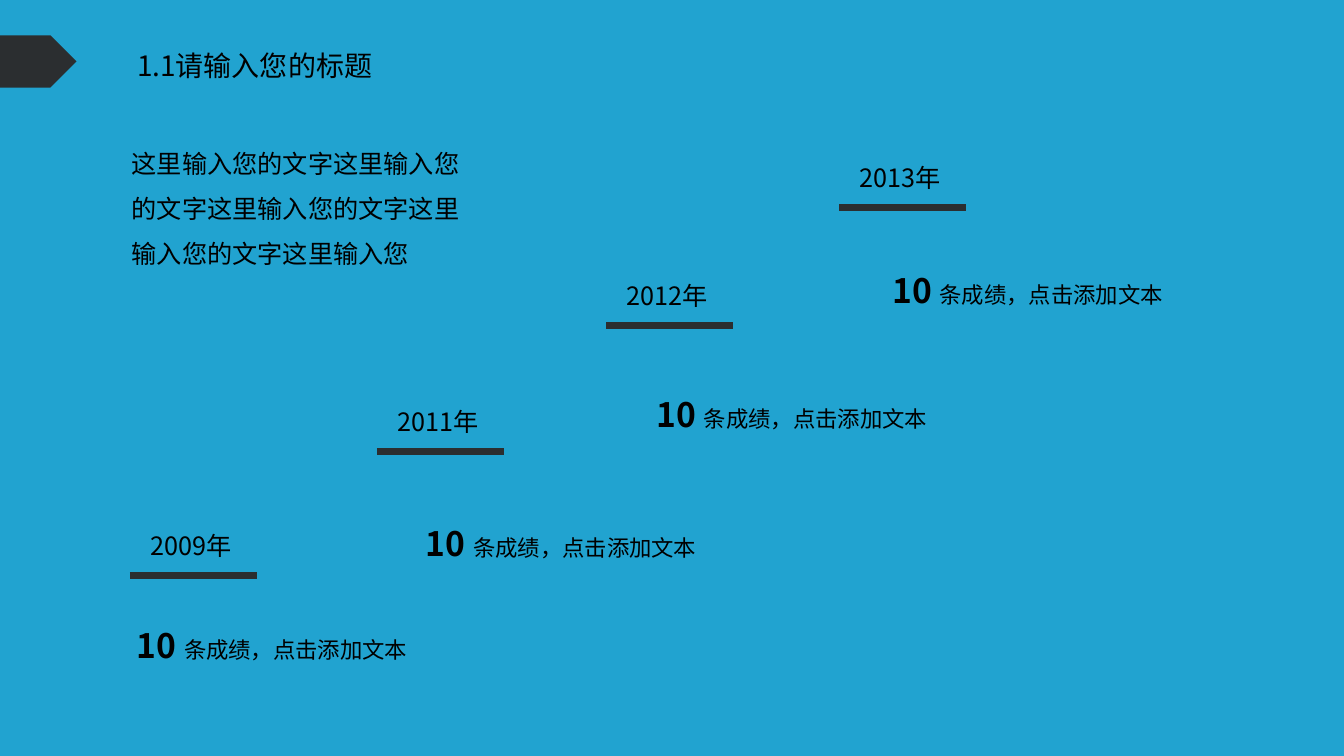
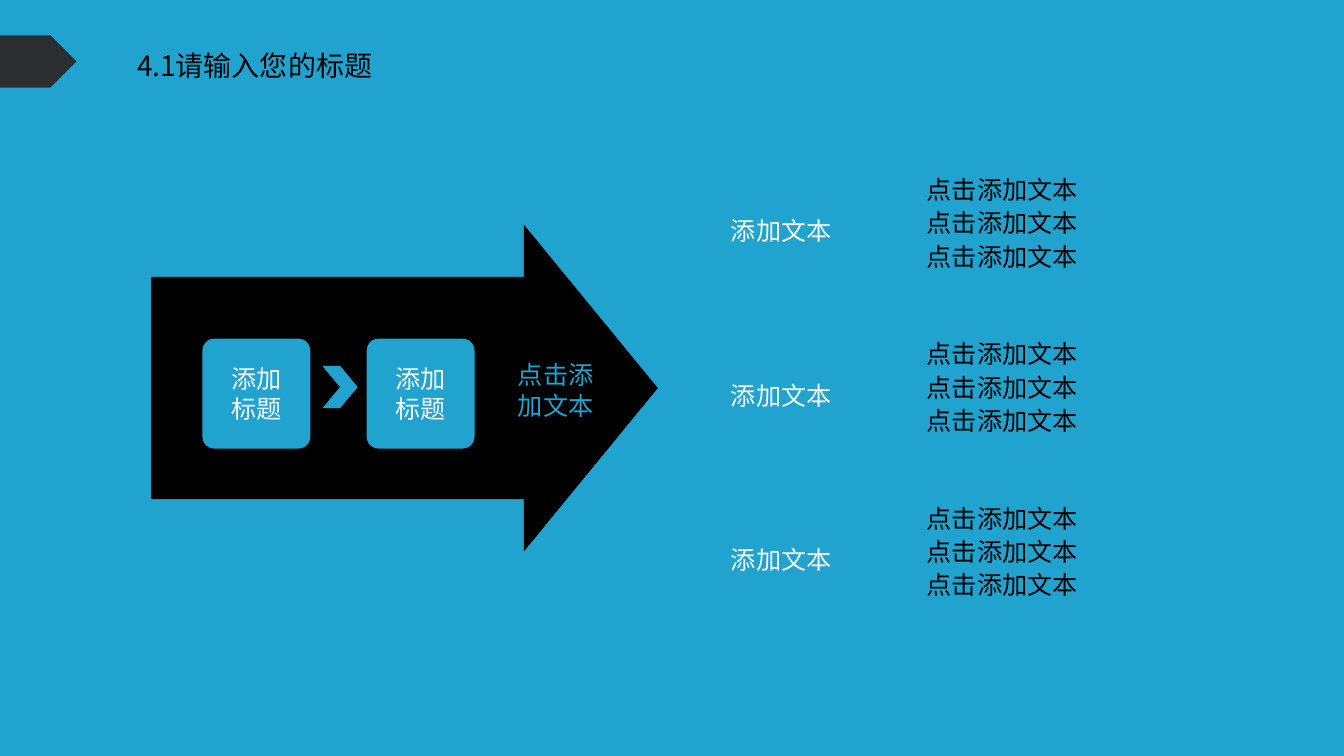
from dataclasses import dataclass

from lxml.etree import SubElement
from pptx import Presentation
from pptx.dml.color import RGBColor
from pptx.enum.shapes import MSO_CONNECTOR, MSO_SHAPE
from pptx.enum.text import MSO_ANCHOR, MSO_AUTO_SIZE, PP_ALIGN
from pptx.oxml.ns import qn
from pptx.util import Inches, Pt


@dataclass(frozen=True)
class Theme:
    font: str = "Noto Sans CJK SC"
    blue: RGBColor = RGBColor(0x21, 0xA3, 0xD0)
    dark: RGBColor = RGBColor(0x2B, 0x2E, 0x30)
    black: RGBColor = RGBColor(0, 0, 0)
    light: RGBColor = RGBColor(0xF8, 0xF8, 0xF8)
    title: int = 20
    body: int = 18
    figure: int = 24
    note: int = 16
    rule: int = 5


THEME = Theme()
TITLE_ONLY = 5

# Year, left and height of its rule, left and top of its result
MILESTONES = [
    ("2009年", 1.29, 5.71, 1.26, 6.15),
    ("2011年", 3.74, 4.48, 4.13, 5.14),
    ("2012年", 6.02, 3.23, 6.42, 3.86),
    ("2013年", 8.33, 2.06, 8.76, 2.63),
]


def box(left, top, width, height):
    return [Inches(v) for v in (left, top, width, height)]


def write(frame, paragraphs, size=THEME.body, color=THEME.black,
          align=PP_ALIGN.LEFT, anchor=MSO_ANCHOR.TOP, line_spacing=None,
          gap=0, inset=0.1):
    """Fill a frame; a paragraph is a string or a list of (text, size, bold)."""
    frame.word_wrap = True
    frame.auto_size = MSO_AUTO_SIZE.NONE
    frame.vertical_anchor = anchor
    frame.margin_left = Inches(inset)
    for index, content in enumerate(paragraphs):
        paragraph = frame.add_paragraph() if index else frame.paragraphs[0]
        paragraph.alignment = align
        if line_spacing:
            paragraph.line_spacing = line_spacing
        if index and gap:
            paragraph.space_before = Pt(gap)
        pieces = [(content, size, False)] if isinstance(content, str) else content
        for text, points, bold in pieces:
            run = paragraph.add_run()
            run.text = text
            run.font.size = Pt(points)
            run.font.bold = bold
            run.font.color.rgb = color
            run.font.name = THEME.font
            SubElement(run._r.get_or_add_rPr(), qn("a:ea"), typeface=THEME.font)


def add_text(slide, area, paragraphs, **style):
    write(slide.shapes.add_textbox(*box(*area)).text_frame, paragraphs, **style)


def add_block(slide, kind, area, fill, adjustments=()):
    block = slide.shapes.add_shape(kind, *box(*area))
    block.shadow.inherit = False
    block.fill.solid()
    block.fill.fore_color.rgb = fill
    block.line.fill.background()
    for index, value in enumerate(adjustments):
        block.adjustments[index] = value
    return block


def add_rule(slide, left, top, width):
    rule = slide.shapes.add_connector(
        MSO_CONNECTOR.STRAIGHT, Inches(left), Inches(top),
        Inches(left + width), Inches(top))
    rule.line.color.rgb = THEME.dark
    rule.line.width = Pt(THEME.rule)
    SubElement(rule._element.spPr, qn("a:effectLst"))


def titled_slide(prs, heading):
    """Slide with the shared title and the tab at the left edge."""
    slide = prs.slides.add_slide(prs.slide_layouts[TITLE_ONLY])
    title = slide.shapes.title
    title.left, title.top, title.width, title.height = box(1.26, 0.43, 2.56, 0.44)
    write(title.text_frame, [heading], size=THEME.title)
    add_block(slide, MSO_SHAPE.PENTAGON, (0, 0.35, 0.76, 0.52), THEME.dark, [0.5])
    return slide


def milestone(slide, year, left, top, result_left, result_top):
    add_text(slide, (left + 0.03, top - 0.5, 1.15, 0.44), [year],
             align=PP_ALIGN.CENTER)
    add_rule(slide, left, top, 1.26)
    result = [("10 ", THEME.figure, True),
              ("条成绩，点击添加文本", THEME.note, False)]
    add_text(slide, (result_left, result_top, 4.07, 0.5), [result])


def timeline_slide(prs):
    slide = titled_slide(prs, "1.1请输入您的标题")
    # Introduction
    add_text(slide, (1.21, 1.27, 3.47, 1.46),
             ["这里输入您的文字这里输入您的文字这里输入您的文字这里输入您的文字这里输入您"],
             line_spacing=1.5)
    # Rising years
    for entry in MILESTONES:
        milestone(slide, *entry)


def process_arrow(slide, left, top, width, height):
    """Large arrow with two steps and an outcome."""
    add_block(slide, MSO_SHAPE.RIGHT_ARROW, (left, top, width, height),
              THEME.black, [0.68, 0.41])
    # Steps
    for index in range(2):
        step = add_block(slide, MSO_SHAPE.ROUNDED_RECTANGLE,
                         (left + 0.51 + 1.63 * index, top + 1.13, 1.07, 1.09),
                         THEME.blue, [0.11])
        write(step.text_frame, ["添加", "标题"], color=THEME.light,
              anchor=MSO_ANCHOR.MIDDLE, inset=0.25)
    add_block(slide, MSO_SHAPE.CHEVRON, (left + 1.7, top + 1.4, 0.35, 0.42),
              THEME.blue, [0.5])
    # Outcome
    add_text(slide, (left + 3.24, top + 1.29, 1.55, 0.71), ["点击添", "加文本"],
             color=THEME.blue, align=PP_ALIGN.CENTER)


def detail_row(slide, left, top):
    """Label with its three lines of detail."""
    add_text(slide, (left, top + 0.41, 1.29, 0.4), ["添加文本"],
             color=THEME.light, align=PP_ALIGN.CENTER)
    add_text(slide, (left + 1.99, top, 1.9, 1.06), ["点击添加文本"] * 3, gap=2.2)


def process_slide(prs):
    slide = titled_slide(prs, "4.1请输入您的标题")
    process_arrow(slide, 1.5, 2.23, 5.03, 3.24)
    for row in range(3):
        detail_row(slide, 7.11, 1.68 + 1.63 * row)


def main():
    prs = Presentation()
    prs.slide_width, prs.slide_height = Inches(13.34), Inches(7.5)
    # Shared background
    backdrop = prs.slide_master.background.fill
    backdrop.solid()
    backdrop.fore_color.rgb = THEME.blue
    timeline_slide(prs)
    process_slide(prs)
    prs.save("out.pptx")


if __name__ == "__main__":
    main()
